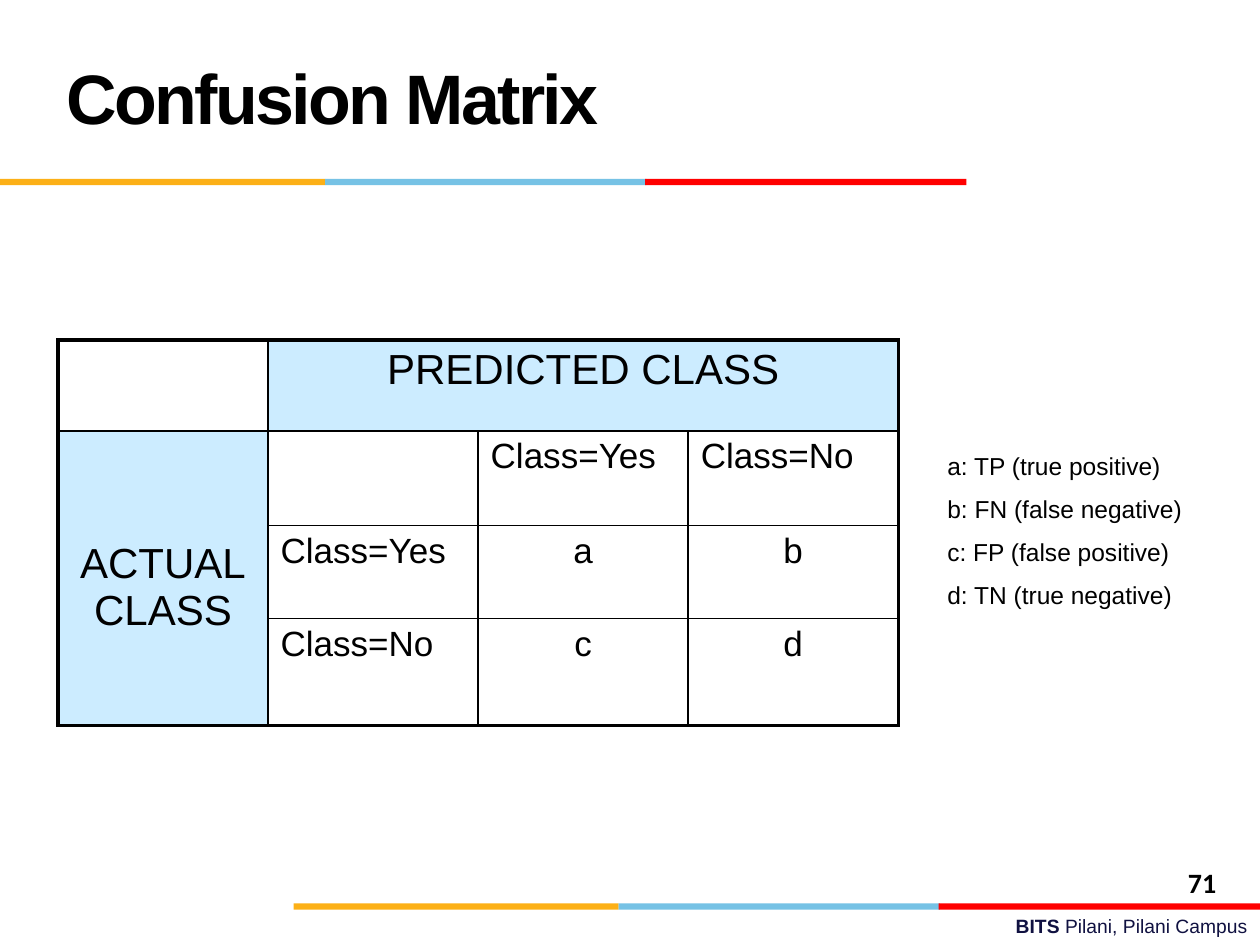
"""Build the confusion matrix slide with its legend and footer."""
import pptx
import pptx.util
import pptx.dml.color
import pptx.enum.shapes
import pptx.enum.text
from lxml import etree

Inches, Pt = pptx.util.Inches, pptx.util.Pt
RGBColor = pptx.dml.color.RGBColor
ALIGN = pptx.enum.text.PP_ALIGN
ANCHOR = pptx.enum.text.MSO_ANCHOR
RECT = pptx.enum.shapes.MSO_SHAPE.RECTANGLE

BLACK = RGBColor(0, 0, 0)
NAVY = RGBColor(0x10, 0x11, 0x41)
PALE = RGBColor(0xCC, 0xEC, 0xFF)
GOLD = RGBColor(0xFC, 0xB0, 0x17)
SKY = RGBColor(0x76, 0xC2, 0xE5)
RED = RGBColor(0xFF, 0, 0)

TITLE = "Confusion Matrix"
NUMBER = "71"
FOOTER = [("BITS ", True), ("Pilani, Pilani Campus", False)]
LEGEND = [
    "a: TP (true positive)",
    "b: FN (false negative)",
    "c: FP (false positive)",
    "d: TN (true negative)",
]
MATRIX = [
    ["", "PREDICTED CLASS", "", ""],
    ["ACTUAL\vCLASS", "", "Class=Yes", "Class=No"],
    ["", "Class=Yes", "a", "b"],
    ["", "Class=No", "c", "d"],
]
HEADS = [(0, 1), (1, 0)]
HEIGHTS = [0.72, 0.75, 0.74, 0.85]
BANDS = [(GOLD, 0, 2.58), (SKY, 2.58, 2.55), (RED, 5.12, 2.55)]
STRIPES = [(0, 1.42), (2.33, 7.17)]


def style(font, size, color=BLACK, bold=False, name="Arial"):
    font.name, font.size, font.bold = name, Pt(size), bold
    font.color.rgb = color


def add_text(slide, box, lines, size, bold=False, name="Arial", gap=0):
    frame = slide.shapes.add_textbox(*map(Inches, box)).text_frame
    frame.word_wrap = True
    frame.text = "\n".join(lines)
    for i, para in enumerate(frame.paragraphs):
        style(para.font, size, bold=bold, name=name)
        para.space_before = Pt(gap if i else 0)
    return frame


def add_stripe(slide, left, top):
    for color, shift, width in BANDS:
        band = slide.shapes.add_shape(
            RECT, Inches(left + shift), Inches(top), Inches(width), Inches(0.05))
        band.shadow.inherit = False
        band.fill.solid()
        band.fill.fore_color.rgb = color
        band.line.fill.background()


def add_border(cell, sides):
    props = cell._tc.get_or_add_tcPr()
    ns = "{" + props.nsmap["a"] + "}"
    for side, outer in sides:
        line = etree.SubElement(props, ns + "ln" + side, w=str(Pt(2.25 if outer else 1)))
        fill = etree.SubElement(line, ns + "solidFill")
        etree.SubElement(fill, ns + "srgbClr", val=str(BLACK))


def fill_cell(cell, row, col):
    head = (row, col) in HEADS
    last = len(MATRIX)
    add_border(cell, [
        ("L", col == 0),
        ("R", col + cell.span_width == last),
        ("T", row == 0),
        ("B", row + cell.span_height == last),
    ])
    if head:
        cell.fill.solid()
        cell.fill.fore_color.rgb = PALE
    else:
        cell.fill.background()
    text = MATRIX[row][col]
    cell.text = text
    para = cell.text_frame.paragraphs[0]
    style(para.font, 24 if head else 20)
    para.space_after = Pt(4)
    if head or len(text) == 1:
        para.alignment = ALIGN.CENTER
    if cell.span_height > 1:
        cell.margin_top = Inches(0.87)


def add_matrix(slide):
    size = len(MATRIX)
    frame = slide.shapes.add_table(
        size, size, Inches(0.46), Inches(2.7), Inches(6.67), Inches(sum(HEIGHTS)))
    table = frame.table
    table.first_row = table.horz_banding = False
    for row, height in zip(table.rows, HEIGHTS):
        row.height = Inches(height)
    table.cell(0, 1).merge(table.cell(0, size - 1))
    table.cell(1, 0).merge(table.cell(size - 1, 0))
    for row in range(size):
        for col in range(size):
            fill_cell(table.cell(row, col), row, col)


def main():
    deck = pptx.Presentation()
    deck.slide_width, deck.slide_height = Inches(10), Inches(7.5)
    slide = deck.slides.add_slide(deck.slide_layouts[6])

    foot = add_text(slide, (3.58, 7.21, 6.42, 0.29), [""], 11).paragraphs[0]
    foot.alignment = ALIGN.RIGHT
    for text, bold in FOOTER:
        run = foot.add_run()
        run.text = text
        style(run.font, 11, NAVY, bold)
    for left, top in STRIPES:
        add_stripe(slide, left, top)

    add_matrix(slide)
    add_text(slide, (7.42, 3.53, 2.42, 1.38), LEGEND, 14, gap=7.7)
    title = add_text(slide, (0.43, 0.3, 6.69, 0.93), [TITLE], 40, bold=True)
    title.vertical_anchor = ANCHOR.MIDDLE
    title.paragraphs[0].runs[0].font._element.set("spc", "-150")
    add_text(slide, (9.33, 6.82, 0.67, 0.32), [NUMBER], 16, True, "Calibri")
    deck.save("out.pptx")


if __name__ == "__main__":
    main()
